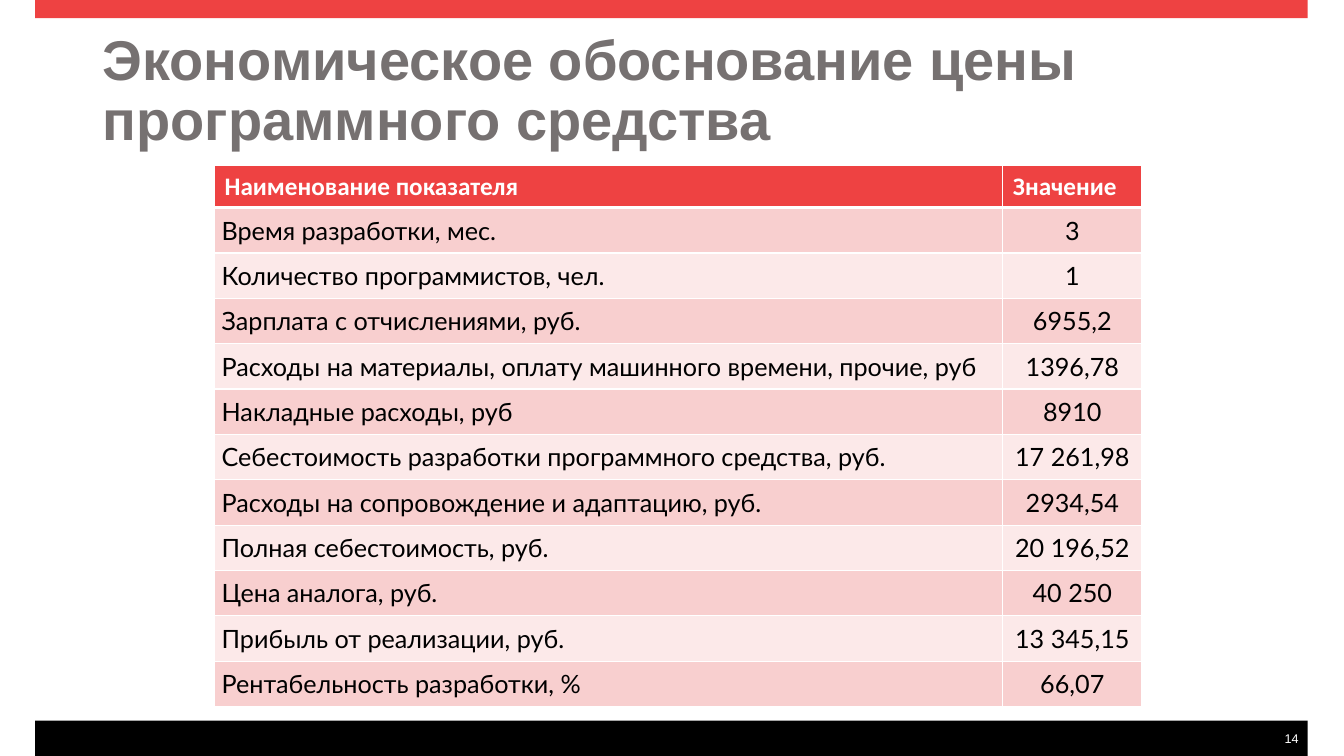
import dataclasses
import typing

import pptx
import pptx.dml.color
import pptx.enum.shapes
import pptx.enum.text
import pptx.oxml
import pptx.oxml.ns
import pptx.util

ALIGN = pptx.enum.text.PP_ALIGN
MIDDLE = pptx.enum.text.MSO_ANCHOR.MIDDLE
SLIDE_WIDTH = pptx.util.Inches(13.34)
SLIDE_HEIGHT = pptx.util.Inches(7.5)


@dataclasses.dataclass(frozen=True)
class TextStyle:
    font: str
    size: float
    color: str
    bold: bool = False


@dataclasses.dataclass(frozen=True)
class Theme:
    red: str = "EE4242"
    black: str = "000000"
    white: str = "FFFFFF"
    bands: tuple[str, str] = ("F8CFCF", "FCE9E9")
    title: TextStyle = TextStyle("Arial", 40, "767171", True)
    header: TextStyle = TextStyle("Calibri", 18, "FFFFFF", True)
    body: TextStyle = TextStyle("Lato", 18, "000000")
    number: TextStyle = TextStyle("Arial", 9, "FFFFFF")
    thin: float = 1
    thick: float = 3


THEME = Theme()


@dataclasses.dataclass(frozen=True)
class Area:
    """A rectangle in percent of the slide's width and height."""
    left: float
    top: float
    width: float
    height: float

    def box(self) -> tuple[int, int, int, int]:
        return (across(self.left), down(self.top),
                across(self.width), down(self.height))


@dataclasses.dataclass(frozen=True)
class Bar:
    area: Area
    color: str


class Indicator(typing.NamedTuple):
    name: str
    value: str


TITLE = "Экономическое обоснование цены программного средства"
TITLE_AREA = Area(6.9, 4.67, 86.21, 15.07)
NUMBER_AREA = Area(95.43, 96.67, 1.87, 2)
BARS = (
    Bar(Area(2.62, 0, 94.68, 2.4), THEME.red),
    Bar(Area(2.62, 95.33, 94.68, 4.67), THEME.black),
    Bar(Area(2.92, 96.13, 90.18, 3.07), THEME.black),
)

COLUMN_WIDTHS = (58.65, 10.34)
HEADER_HEIGHT = 5.6
ROW_HEIGHT = 6
TABLE_LEFT, TABLE_TOP = 15.97, 21.87
HEADER = Indicator("Наименование показателя", "Значение")
INDICATORS = (
    Indicator("Время разработки, мес.", "3"),
    Indicator("Количество программистов, чел.", "1"),
    Indicator("Зарплата с отчислениями, руб.", "6955,2"),
    Indicator("Расходы на материалы, оплату машинного времени, прочие, руб", "1396,78"),
    Indicator("Накладные расходы, руб", "8910"),
    Indicator("Себестоимость разработки программного средства, руб.", "17 261,98"),
    Indicator("Расходы на сопровождение и адаптацию, руб.", "2934,54"),
    Indicator("Полная себестоимость, руб.", "20 196,52"),
    Indicator("Цена аналога, руб.", "40 250"),
    Indicator("Прибыль от реализации, руб.", "13 345,15"),
    Indicator("Рентабельность разработки, %", "66,07"),
)


def across(percent: float) -> int:
    return round(SLIDE_WIDTH * percent / 100)


def down(percent: float) -> int:
    return round(SLIDE_HEIGHT * percent / 100)


def rgb(color: str) -> pptx.dml.color.RGBColor:
    return pptx.dml.color.RGBColor.from_string(color)


def write(frame, text: str, style: TextStyle, align) -> None:
    frame.text = text
    para = frame.paragraphs[0]
    para.alignment = align
    for span in para.runs:
        span.font.name = style.font
        span.font.size = pptx.util.Pt(style.size)
        span.font.bold = style.bold
        span.font.color.rgb = rgb(style.color)


def add_bar(page, bar: Bar) -> None:
    shape = page.shapes.add_shape(
        pptx.enum.shapes.MSO_SHAPE.RECTANGLE, *bar.area.box())
    shape.shadow.inherit = False
    shape.fill.solid()
    shape.fill.fore_color.rgb = rgb(bar.color)
    shape.line.fill.background()


def set_title(page) -> None:
    title = page.shapes.title
    title.left, title.top, title.width, title.height = TITLE_AREA.box()
    frame = title.text_frame
    write(frame, TITLE, THEME.title, ALIGN.LEFT)
    frame.paragraphs[0].line_spacing = 0.9
    frame.vertical_anchor = MIDDLE
    frame.word_wrap = True
    frame.auto_size = pptx.enum.text.MSO_AUTO_SIZE.NONE


def add_page_number(page, number: str) -> None:
    frame = page.shapes.add_textbox(*NUMBER_AREA.box()).text_frame
    frame.margin_left = frame.margin_top = frame.margin_bottom = 0
    frame.margin_right = pptx.util.Inches(0.09)
    frame.word_wrap = False
    write(frame, number, THEME.number, ALIGN.RIGHT)


def set_borders(cell, top: float, bottom: float) -> None:
    """Draw the four white cell edges; widths are in points."""
    properties = cell._tc.get_or_add_tcPr()
    edges = {"lnL": THEME.thin, "lnR": THEME.thin, "lnT": top, "lnB": bottom}
    for edge, width in edges.items():
        properties.append(pptx.oxml.parse_xml(
            f'<a:{edge} {pptx.oxml.ns.nsdecls("a")} w="{pptx.util.Pt(width)}">'
            f'<a:solidFill><a:srgbClr val="{THEME.white}"/></a:solidFill>'
            f'</a:{edge}>'))


def fill_row(table, index: int, indicator: Indicator) -> None:
    is_header = index == 0
    color = THEME.red if is_header else THEME.bands[(index - 1) % 2]
    style = THEME.header if is_header else THEME.body
    for column, text in enumerate(indicator):
        cell = table.cell(index, column)
        cell.vertical_anchor = MIDDLE
        if not is_header:
            cell.margin_left = cell.margin_right = pptx.util.Inches(0.07)
            cell.margin_top = cell.margin_bottom = 0
        set_borders(cell,
                    top=THEME.thick if index == 1 else THEME.thin,
                    bottom=THEME.thick if is_header else THEME.thin)
        cell.fill.solid()
        cell.fill.fore_color.rgb = rgb(color)
        centred = column == 1 and not is_header
        write(cell.text_frame, text, style, ALIGN.CENTER if centred else ALIGN.LEFT)


def add_indicator_table(page) -> None:
    rows = (HEADER, *INDICATORS)
    area = Area(TABLE_LEFT, TABLE_TOP, sum(COLUMN_WIDTHS),
                HEADER_HEIGHT + ROW_HEIGHT * len(INDICATORS))
    table = page.shapes.add_table(len(rows), len(COLUMN_WIDTHS), *area.box()).table
    for column, width in zip(table.columns, COLUMN_WIDTHS):
        column.width = across(width)
    for index, indicator in enumerate(rows):
        table.rows[index].height = down(ROW_HEIGHT if index else HEADER_HEIGHT)
        fill_row(table, index, indicator)


def main() -> None:
    deck = pptx.Presentation()
    deck.slide_width, deck.slide_height = SLIDE_WIDTH, SLIDE_HEIGHT
    page = deck.slides.add_slide(deck.slide_layouts.get_by_name("Title Only"))
    for bar in BARS:
        add_bar(page, bar)
    add_page_number(page, "14")
    set_title(page)
    add_indicator_table(page)
    deck.save("out.pptx")


if __name__ == "__main__":
    main()
